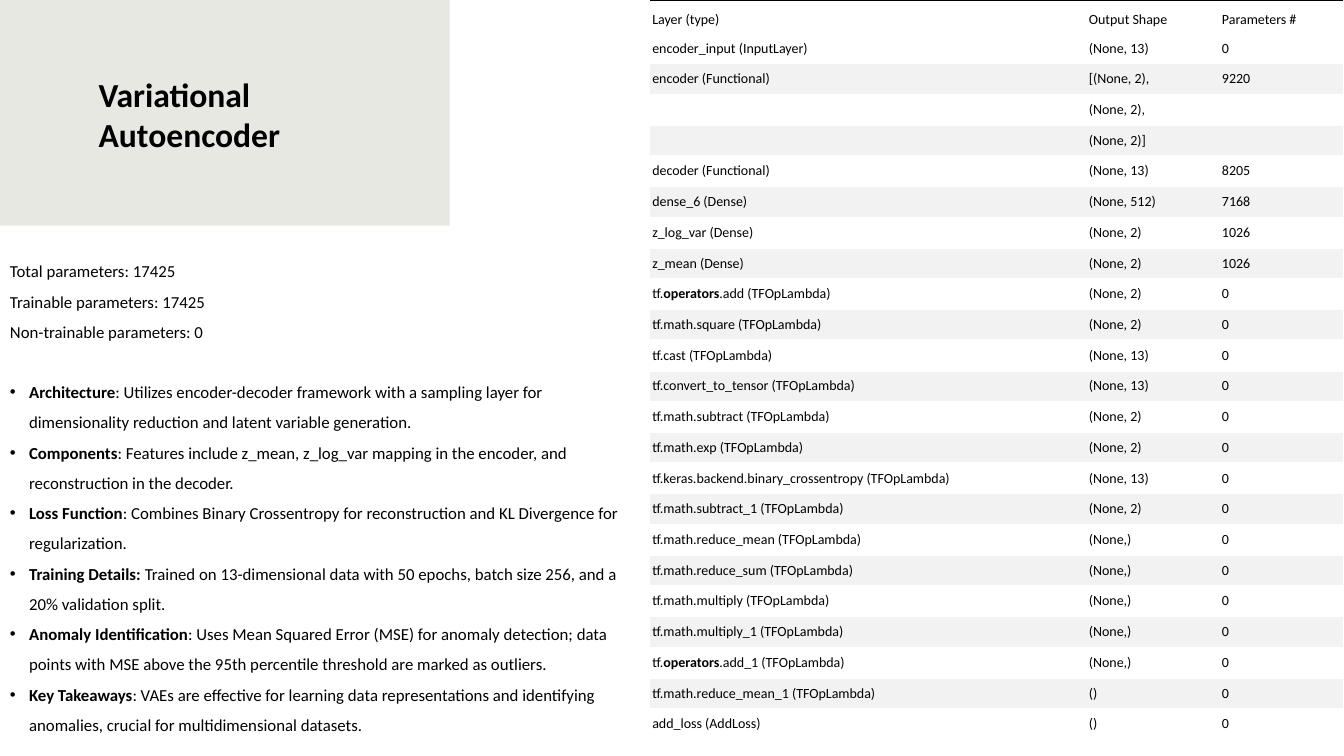
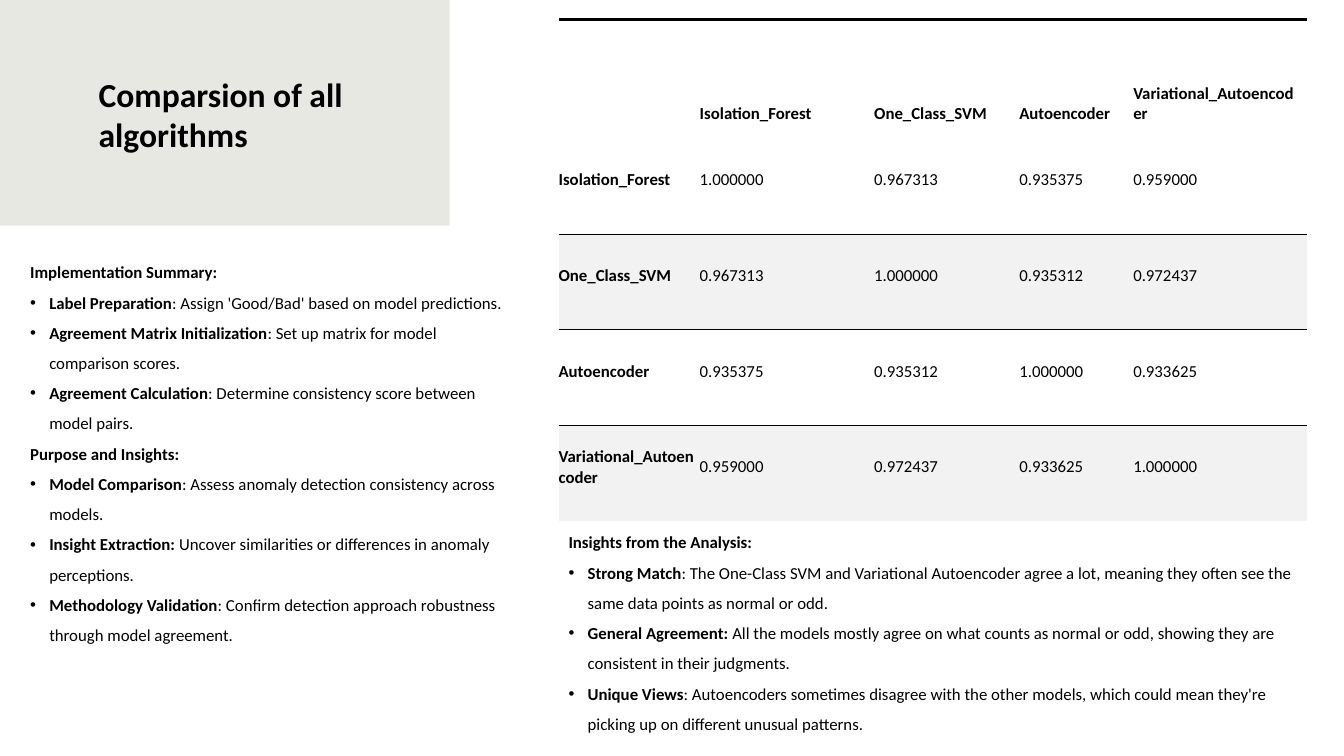
from dataclasses import dataclass

from lxml import etree
from pptx import Presentation
from pptx import util as u
from pptx.dml.color import RGBColor
from pptx.enum import shapes, text
from pptx.oxml import ns

NO_STYLE = "{2D5ABB26-0587-4C30-8999-92F81FD0307C}"


@dataclass(frozen=True)
class Theme:
    font: str = "Calibri"
    ink: str = "000000"
    band: str = "E8E8E2"
    stripe: str = "F2F2F2"
    title: int = 24
    body: int = 12
    small: int = 10
    line_spacing: float = 1.5
    indent: float = 0.19
    rule: float = 2.25
    hairline: float = 0.5


def box(*lengths):
    return [u.Inches(n) for n in lengths]


def write(p, content, *, theme, size, bold=False, bullet=False, spacing=None, before=0):
    """Fill a paragraph; words between asterisks are bold."""
    if spacing:
        p.line_spacing = spacing
    if before:
        p.space_before = u.Pt(before)
    if bullet:
        pPr = p._p.get_or_add_pPr()
        indent = u.Inches(theme.indent)
        pPr.set("marL", str(indent))
        pPr.set("indent", str(-indent))
        etree.SubElement(pPr, ns.qn("a:buFont"), typeface="Arial")
        etree.SubElement(pPr, ns.qn("a:buChar"), char="•")
    for i, part in enumerate(content.split("*")):
        if part:
            r = p.add_run()
            r.text = part
            r.font.name = theme.font
            r.font.size = u.Pt(size)
            r.font.bold = bold or i % 2 == 1
            r.font.color.rgb = RGBColor.from_string(theme.ink)
    if not content:
        etree.SubElement(p._p, ns.qn("a:endParaRPr"), sz=str(size * 100))


def top_border(cell, width, color):
    ln = etree.Element(ns.qn("a:lnT"), w=str(u.Pt(width)))
    fill = etree.SubElement(ln, ns.qn("a:solidFill"))
    etree.SubElement(fill, ns.qn("a:srgbClr"), val=color)
    cell._tc.get_or_add_tcPr().insert(0, ln)


class Deck:
    def __init__(self, theme):
        self.theme = theme
        self.prs = Presentation()
        self.prs.slide_width, self.prs.slide_height = box(13.33, 7.5)
        self.s = None

    def slide(self, title):
        """Start a slide with its title on the corner band."""
        self.s = self.prs.slides.add_slide(self.prs.slide_layouts[6])
        sp = self.s.shapes.add_shape(shapes.MSO_SHAPE.RECTANGLE, *box(0, 0, 4.46, 2.24))
        sp.shadow.inherit = False
        sp.fill.solid()
        sp.fill.fore_color.rgb = RGBColor.from_string(self.theme.band)
        sp.line.fill.background()
        tf = self.frame(0.88, 0.39, 3.14, 1.48)
        tf.vertical_anchor = text.MSO_ANCHOR.MIDDLE
        write(tf.paragraphs[0], title, theme=self.theme, size=self.theme.title, bold=True)

    def frame(self, *at):
        tf = self.s.shapes.add_textbox(*box(*at)).text_frame
        tf.word_wrap = True
        return tf

    def body(self, at, lines, bullet_gap=0):
        """Write lines, those that start with "- " as bullets; bullet_gap precedes the first."""
        tf = self.frame(*at)
        tf.auto_size = text.MSO_AUTO_SIZE.SHAPE_TO_FIT_TEXT
        for i, line in enumerate(lines):
            p = tf.add_paragraph() if i else tf.paragraphs[0]
            bullet = line.startswith("- ")
            write(p, line.removeprefix("- "), theme=self.theme, size=self.theme.body,
                  bullet=bullet, spacing=self.theme.line_spacing,
                  before=bullet_gap if bullet else 0)
            if bullet:
                bullet_gap = 0

    def table(self, left, top, widths, heights, rows, *, size, insets, ruled=False):
        """Add a table striped on even rows, with hairlines above the stripes if ruled."""
        t = self.theme
        frame = self.s.shapes.add_table(len(rows), len(widths),
                                        *box(left, top, sum(widths), sum(heights)))
        table = frame.table
        table.first_row = table.horz_banding = False
        table._tbl.tblPr.find(ns.qn("a:tableStyleId")).text = NO_STYLE
        for col, width in zip(table.columns, widths):
            col.width = u.Inches(width)
        for i, (row, height, values) in enumerate(zip(table.rows, heights, rows)):
            row.height = u.Inches(height)
            striped = i > 0 and i % 2 == 0
            for cell, value in zip(row.cells, values):
                (cell.margin_left, cell.margin_top,
                 cell.margin_right, cell.margin_bottom) = box(*insets)
                cell.vertical_anchor = text.MSO_ANCHOR.MIDDLE if i else text.MSO_ANCHOR.BOTTOM
                write(cell.text_frame.paragraphs[0], value, theme=t, size=size)
                if striped:
                    cell.fill.solid()
                    cell.fill.fore_color.rgb = RGBColor.from_string(t.stripe)
                else:
                    cell.fill.background()
                if i == 0:
                    top_border(cell, t.rule, t.ink)
                elif striped and ruled:
                    top_border(cell, t.hairline, t.ink)


LAYERS = [
    ("Layer (type)", "Output Shape", "Parameters #"),
    ("encoder_input (InputLayer)", "(None, 13)", "0"),
    ("encoder (Functional)", "[(None, 2),", "9220"),
    ("", "(None, 2),", ""),
    ("", "(None, 2)]", ""),
    ("decoder (Functional)", "(None, 13)", "8205"),
    ("dense_6 (Dense)", "(None, 512)", "7168"),
    ("z_log_var (Dense)", "(None, 2)", "1026"),
    ("z_mean (Dense)", "(None, 2)", "1026"),
    ("tf.*operators*.add (TFOpLambda)", "(None, 2)", "0"),
    ("tf.math.square (TFOpLambda)", "(None, 2)", "0"),
    ("tf.cast (TFOpLambda)", "(None, 13)", "0"),
    ("tf.convert_to_tensor (TFOpLambda)", "(None, 13)", "0"),
    ("tf.math.subtract (TFOpLambda)", "(None, 2)", "0"),
    ("tf.math.exp (TFOpLambda)", "(None, 2)", "0"),
    ("tf.keras.backend.binary_crossentropy (TFOpLambda)", "(None, 13)", "0"),
    ("tf.math.subtract_1 (TFOpLambda)", "(None, 2)", "0"),
    ("tf.math.reduce_mean (TFOpLambda)", "(None,)", "0"),
    ("tf.math.reduce_sum (TFOpLambda)", "(None,)", "0"),
    ("tf.math.multiply (TFOpLambda)", "(None,)", "0"),
    ("tf.math.multiply_1 (TFOpLambda)", "(None,)", "0"),
    ("tf.*operators*.add_1 (TFOpLambda)", "(None,)", "0"),
    ("tf.math.reduce_mean_1 (TFOpLambda)", "()", "0"),
    ("add_loss (AddLoss)", "()", "0"),
]

AUTOENCODER_NOTES = [
    "Total parameters: 17425",
    "Trainable parameters: 17425",
    "Non-trainable parameters: 0",
    "- *Architecture*: Utilizes encoder-decoder framework with a sampling layer for "
    "dimensionality reduction and latent variable generation.",
    "- *Components*: Features include z_mean, z_log_var mapping in the encoder, and "
    "reconstruction in the decoder.",
    "- *Loss Function*: Combines Binary Crossentropy for reconstruction and KL Divergence "
    "for regularization.",
    "- *Training Details: *Trained on 13-dimensional data with 50 epochs, batch size 256, "
    "and a 20% validation split.",
    "- *Anomaly Identification*: Uses Mean Squared Error (MSE) for anomaly detection; data "
    "points with MSE above the 95th percentile threshold are marked as outliers.",
    "- *Key Takeaways*: VAEs are effective for learning data representations and "
    "identifying anomalies, crucial for multidimensional datasets.",
]

MODELS = ["*Isolation_Forest*", "*One_Class_SVM*", "*Autoencoder*", "*Variational_Autoencoder*"]
AGREEMENT = [
    (1, 0.967313, 0.935375, 0.959),
    (0.967313, 1, 0.935312, 0.972437),
    (0.935375, 0.935312, 1, 0.933625),
    (0.959, 0.972437, 0.933625, 1),
]

SUMMARY = [
    "*Implementation Summary:*",
    "- *Label Preparation*: Assign 'Good/Bad' based on model predictions.",
    "- *Agreement Matrix Initialization*: Set up matrix for model comparison scores.",
    "- *Agreement Calculation*: Determine consistency score between model pairs.",
    "*Purpose and Insights:*",
    "- *Model Comparison*: Assess anomaly detection consistency across models.",
    "- *Insight Extraction: *Uncover similarities or differences in anomaly perceptions.",
    "- *Methodology Validation*: Confirm detection approach robustness through model agreement.",
]

INSIGHTS = [
    "*Insights from the Analysis:*",
    "- *Strong Match*: The One-Class SVM and Variational Autoencoder agree a lot, meaning "
    "they often see the same data points as normal or odd.",
    "- *General Agreement: *All the models mostly agree on what counts as normal or odd, "
    "showing they are consistent in their judgments.",
    "- *Unique Views*: Autoencoders sometimes disagree with the other models, which could "
    "mean they're picking up on different unusual patterns.",
]


def main():
    theme = Theme()
    deck = Deck(theme)

    deck.slide("Variational Autoencoder")
    heights = [0.29 if i and i % 2 == 0 else 0.32 for i in range(len(LAYERS))]
    deck.table(6.45, 0, [4.33, 1.32, 1.22], heights, LAYERS,
               size=theme.small, insets=(0.02, 0.04, 0.02, 0.04))
    deck.body((0, 2.44, 6.45, 5.22), AUTOENCODER_NOTES, bullet_gap=21.6)

    deck.slide("Comparsion of all algorithms")
    scores = [["", *MODELS]]
    scores += [[model, *(f"{n:.6f}" for n in row)] for model, row in zip(MODELS, AGREEMENT)]
    deck.table(5.54, 0.19, [1.4, 1.73, 1.44, 1.13, 1.72], [1.18] + [0.95] * len(MODELS), scores,
               size=theme.body, insets=(0, 0.02, 0.05, 0.14), ruled=True)
    deck.body((0.2, 2.45, 4.95, 4.61), SUMMARY)
    deck.body((5.54, 5.13, 7.59, 2.49), INSIGHTS)

    deck.prs.save("out.pptx")


if __name__ == "__main__":
    main()
